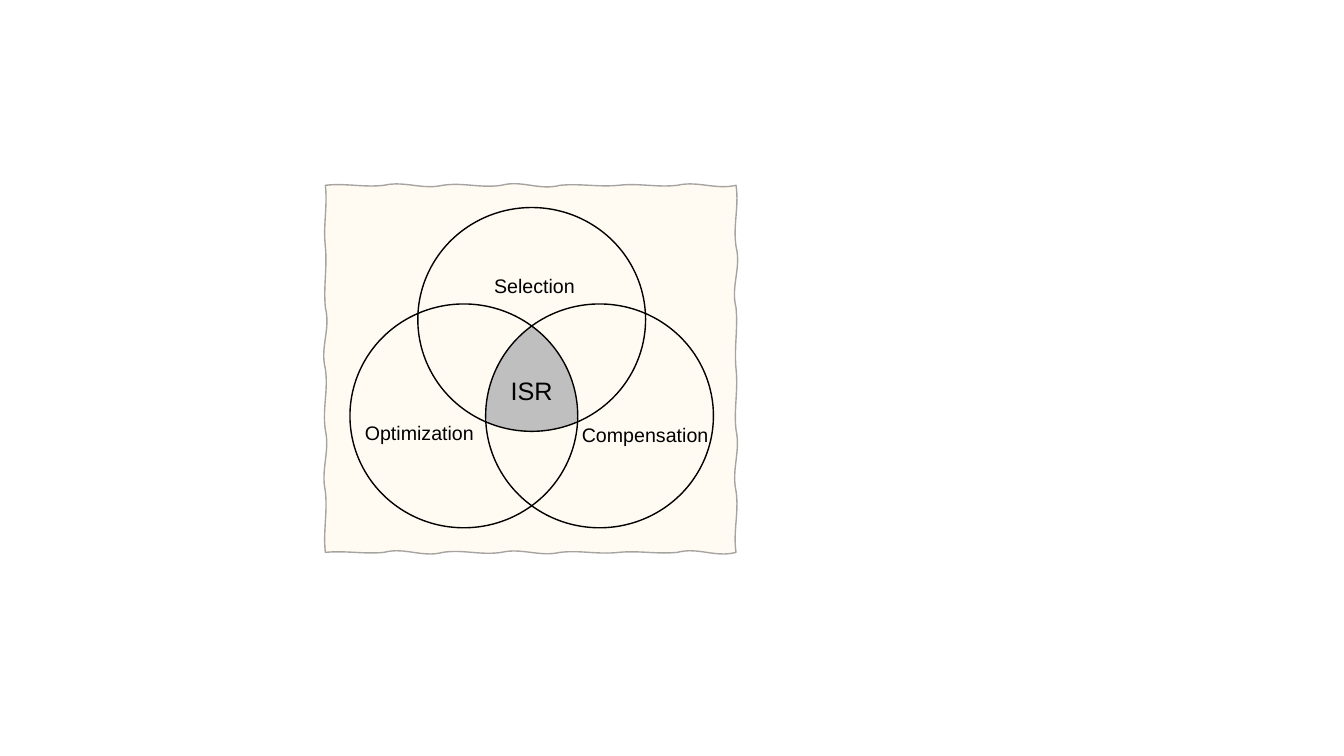
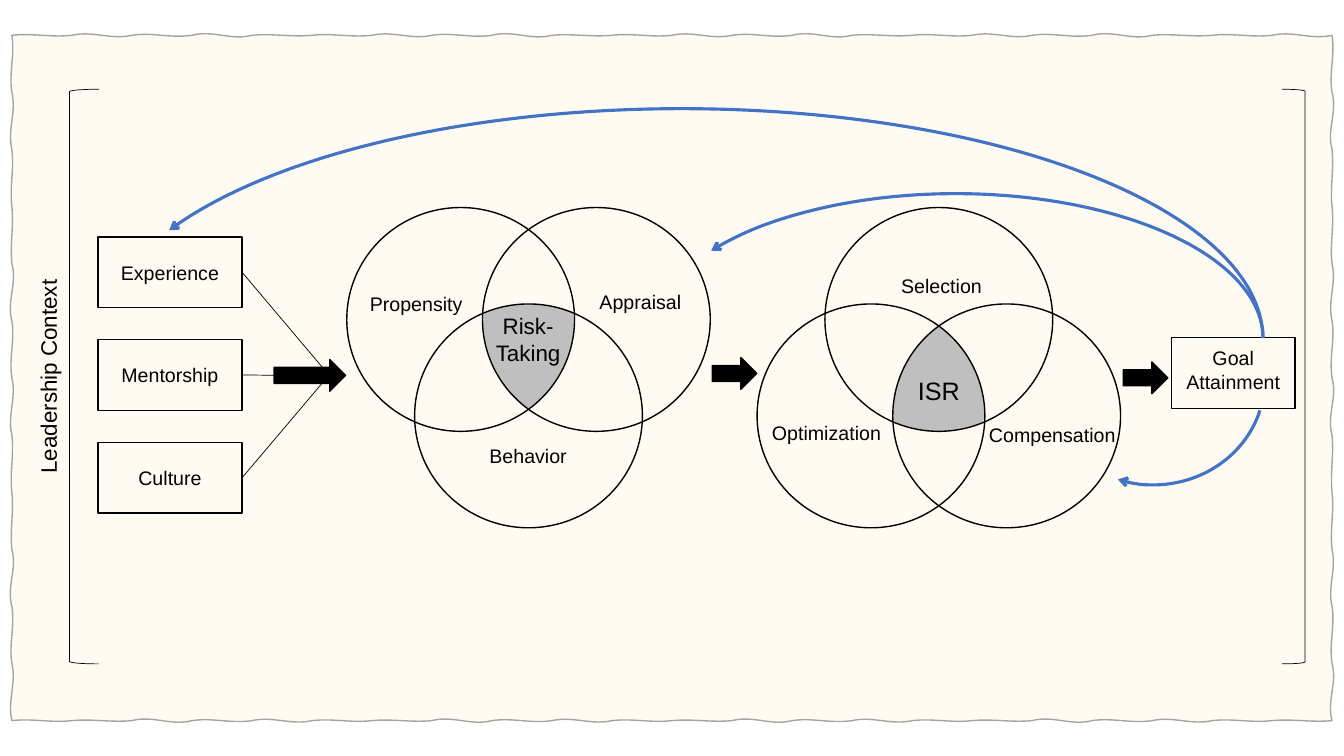
from itertools import cycle
from math import cos, pi, sqrt

from lxml import etree
from pptx import Presentation
from pptx.dml.color import RGBColor
from pptx.enum.shapes import MSO_CONNECTOR, MSO_SHAPE
from pptx.enum.text import MSO_ANCHOR, PP_ALIGN
from pptx.oxml.ns import qn
from pptx.util import Cm, Pt

BLACK = RGBColor(0x00, 0x00, 0x00)
GREY = RGBColor(0xBF, 0xBF, 0xBF)
CREAM = RGBColor(0xFF, 0xF2, 0xCC)
BLUE = RGBColor(0x44, 0x72, 0xC4)
FONT = "Arial"

# All lengths below are centimetres.
CIRCLE_W, CIRCLE_H = 5.74, 5.64
STEP_X, STEP_Y = 1.71, 2.43
PROCESS_Y = 5.23
WAVE_HEIGHTS = (0.06, 0.12, 0.08, 0.14, 0.05)

# Label: (text, centre x, centre y), relative to the box of its diagram
ISR_LABELS = [("Selection", 4.65, 1.98), ("Optimization", 1.75, 5.68),
              ("Compensation", 7.44, 5.72)]
RISK_LABELS = [("Behavior", 4.57, 6.25), ("Appraisal", 7.4, 2.37),
               ("Propensity", 1.75, 2.41)]


def set_alpha(fill, percent):
    """Make a solid fill see-through."""
    color = fill._xPr.find(qn("a:solidFill"))[0]
    etree.SubElement(color, qn("a:alpha")).set("val", str(percent * 1000))


def add_arrowhead(line, end, kind):
    etree.SubElement(line._get_or_add_ln(), qn(f"a:{end}")).set("type", kind)


def style(shape, fill=None, line=None, width=1):
    shape.shadow.inherit = False
    if fill is None:
        shape.fill.background()
    else:
        shape.fill.solid()
        shape.fill.fore_color.rgb = fill
    if line is None:
        shape.line.fill.background()
    else:
        shape.line.color.rgb = line
        shape.line.width = Pt(width)
    return shape


def add_preset(slide, preset, box, **look):
    shape = slide.shapes.add_shape(preset, *map(Cm, box))
    return style(shape, **look)


def add_outline(slide, points, **look):
    corners = [(Cm(x), Cm(y)) for x, y in points]
    builder = slide.shapes.build_freeform(*corners[0])
    builder.add_line_segments(corners[1:], close=True)
    return style(builder.convert_to_shape(), **look)


def write(shape, lines, size):
    frame = shape.text_frame
    frame.vertical_anchor = MSO_ANCHOR.MIDDLE
    frame.margin_left = frame.margin_right = 0
    for index, line in enumerate(lines):
        paragraph = frame.add_paragraph() if index else frame.paragraphs[0]
        paragraph.text = line
        paragraph.alignment = PP_ALIGN.CENTER
        paragraph.font.name = FONT
        paragraph.font.size = Pt(size)
        paragraph.font.color.rgb = BLACK


def add_label(slide, text, x, y, size=14, width=3.2, height=0.86,
              wrap=False, rotation=0):
    """Centre a text on the point x, y."""
    label = slide.shapes.add_textbox(
        Cm(x - width / 2), Cm(y - height / 2), Cm(width), Cm(height))
    label.text_frame.word_wrap = wrap
    label.rotation = rotation
    write(label, [text], size)


def bend_segments(shape):
    """Turn each straight segment into a shallow S-curve."""
    outline = shape._element.spPr.find(".//" + qn("a:path"))
    previous = outline.find(qn("a:moveTo"))[0]
    for segment, wave in zip(outline.findall(qn("a:lnTo")),
                             cycle(WAVE_HEIGHTS)):
        target = segment[0]
        x0, y0, x1, y1 = (int(point.get(axis)) for point in (previous, target)
                          for axis in "xy")
        length = max(abs(x1 - x0), abs(y1 - y0))
        shift_x = Cm(wave) * (y1 - y0) / length
        shift_y = Cm(wave) * (x0 - x1) / length
        curve = etree.Element(qn("a:cubicBezTo"))
        for part, side in ((0.35, 1), (0.65, -1)):
            control = etree.SubElement(curve, qn("a:pt"))
            control.set("x", str(round(x0 + part * (x1 - x0)
                                       + side * shift_x)))
            control.set("y", str(round(y0 + part * (y1 - y0)
                                       + side * shift_y)))
        outline.replace(segment, curve)
        curve.append(target)
        previous = target


def add_paper(slide, left, top, width, height):
    """A sheet with hand-drawn, wavy edges."""
    edges = [(left, top, width, 0), (left + width, top, 0, height),
             (left + width, top + height, -width, 0),
             (left, top + height, 0, -height)]
    points = [(left, top)]
    for x, y, dx, dy in edges:
        count = round(abs(dx + dy) / 1.5)
        points += [(x + dx * index / count, y + dy * index / count)
                   for index in range(1, count + 1)]
    paper = add_outline(slide, points, fill=CREAM, line=BLACK)
    bend_segments(paper)
    set_alpha(paper.fill, 25)
    set_alpha(paper.line.fill, 35)


def shared_area(centres):
    """Outline of the region that lies inside all the circles."""
    radius_x, radius_y = CIRCLE_W / 2, CIRCLE_H / 2
    left = max(x for x, _ in centres) - radius_x
    right = min(x for x, _ in centres) + radius_x
    count = 10
    upper, lower = [], []
    for index in range(count + 1):
        x = left + (right - left) * (1 - cos(pi * index / count)) / 2
        spans = [(cy, radius_y * sqrt(max(0, 1 - ((x - cx) / radius_x) ** 2)))
                 for cx, cy in centres]
        upper.append((x, max(cy - half for cy, half in spans)))
        lower.append((x, min(cy + half for cy, half in spans)))
    return upper + lower[::-1]


def add_venn(slide, left, top, labels, core, single_on_top):
    """Three circles; core is the (text, x, y, size) of the shared area."""
    single_y, pair_y = (0, STEP_Y) if single_on_top else (STEP_Y, 0)
    corners = [(left + STEP_X, top + single_y),
               (left + 2 * STEP_X, top + pair_y), (left, top + pair_y)]
    centres = [(x + CIRCLE_W / 2, y + CIRCLE_H / 2) for x, y in corners]
    add_outline(slide, shared_area(centres), fill=GREY)
    for text, x, y in labels:
        add_label(slide, text, left + x, top + y)
    for x, y in corners:
        add_preset(slide, MSO_SHAPE.OVAL, (x, y, CIRCLE_W, CIRCLE_H),
                   line=BLACK)
    text, x, y, size = core
    add_label(slide, text, left + x, top + y, size, 1.9, 1.6, wrap=True)


def add_isr_venn(slide, left, top):
    add_venn(slide, left, top, ISR_LABELS, ("ISR", 4.58, 4.62, 18), True)


def add_risk_venn(slide, left, top):
    add_venn(slide, left, top, RISK_LABELS,
             ("Risk-Taking", 4.57, 3.31, 16), False)


def add_context(slide, left, top, width, height):
    """The brackets around the process, with their upright caption."""
    for preset, x, depth in [(MSO_SHAPE.LEFT_BRACKET, left, 0.74),
                             (MSO_SHAPE.RIGHT_BRACKET,
                              left + width - 0.58, 0.58)]:
        add_preset(slide, preset, (x, top, depth, height),
                   line=BLACK, width=0.5)
    add_label(slide, "Leadership Context", left - 0.54, top + height / 2,
              size=16, width=5.46, rotation=270)


def add_sources(slide, left, top):
    """Stacked boxes whose lines meet in front of the first diagram."""
    width, height, pitch = 3.63, 1.78, 2.59
    targets = [(5.97, 3.66), (6.07, 3.5), (5.95, 3.33)]
    names = ["Experience", "Mentorship", "Culture"]
    for row, (name, (to_x, to_y)) in enumerate(zip(names, targets)):
        y = top + row * pitch
        box = add_preset(slide, MSO_SHAPE.RECTANGLE, (left, y, width, height),
                         line=BLACK)
        write(box, [name], 14)
        link = slide.shapes.add_connector(
            MSO_CONNECTOR.STRAIGHT, Cm(left + width), Cm(y + height / 2),
            Cm(left + to_x), Cm(top + to_y))
        link.line.color.rgb = BLACK
        link.line.width = Pt(0.5)
        add_arrowhead(link.line, "tailEnd", "triangle")
        etree.SubElement(link._element.spPr, qn("a:effectLst"))


def add_goal(slide, left, top):
    goal = add_preset(slide, MSO_SHAPE.RECTANGLE, (left, top, 3.12, 1.78),
                      line=BLACK)
    write(goal, ["Goal", "Attainment"], 14)
    goal.text_frame.margin_top = 0
    goal.text_frame.margin_bottom = Cm(0.18)


def add_block_arrow(slide, left, middle, width):
    height = 0.8
    add_preset(slide, MSO_SHAPE.RIGHT_ARROW,
               (left, middle - height / 2, width, height),
               fill=BLACK, line=BLACK)


def add_feedback(slide, box, start, end, flipped=False):
    """An arc between two angles in degrees, with its arrowhead at start."""
    arc = add_preset(slide, MSO_SHAPE.ARC, box, line=BLUE, width=2.25)
    arc.adjustments[0] = start * 0.6
    arc.adjustments[1] = end * 0.6
    if flipped:
        arc._element.spPr.get_or_add_xfrm().set("flipV", "1")
    add_arrowhead(arc.line, "headEnd", "arrow")


def build_isr_slide(slide):
    add_paper(slide, 8.2, 4.67, 10.35, 9.25)
    add_isr_venn(slide, 8.82, PROCESS_Y)


def build_process_slide(slide):
    add_paper(slide, 0.3, 0.89, 33.27, 17.27)
    add_context(slide, 1.75, 2.25, 31.14, 14.48)
    add_sources(slide, 2.47, 5.97)
    add_risk_venn(slide, 8.74, PROCESS_Y)
    add_isr_venn(slide, 19.08, PROCESS_Y)
    add_goal(slide, 29.52, 8.51)
    for left, middle, width in [(6.91, 9.46, 1.8), (17.95, 9.41, 1.12),
                                (28.31, 9.52, 1.12)]:
        add_block_arrow(slide, left, middle, width)
    add_feedback(slide, (16.34, 4.88, 15.49, 7.29), 199.7, 359.87)
    add_feedback(slide, (26.26, 6.96, 5.61, 5.26), 250.31, 344.36, True)
    add_feedback(slide, (2.52, 2.74, 29.31, 11.63), 192.03, 359.87)


def main():
    deck = Presentation()
    deck.slide_width, deck.slide_height = Cm(33.87), Cm(19.05)
    blank = deck.slide_layouts[6]
    for build in (build_isr_slide, build_process_slide):
        build(deck.slides.add_slide(blank))
    deck.save("out.pptx")


if __name__ == "__main__":
    main()
